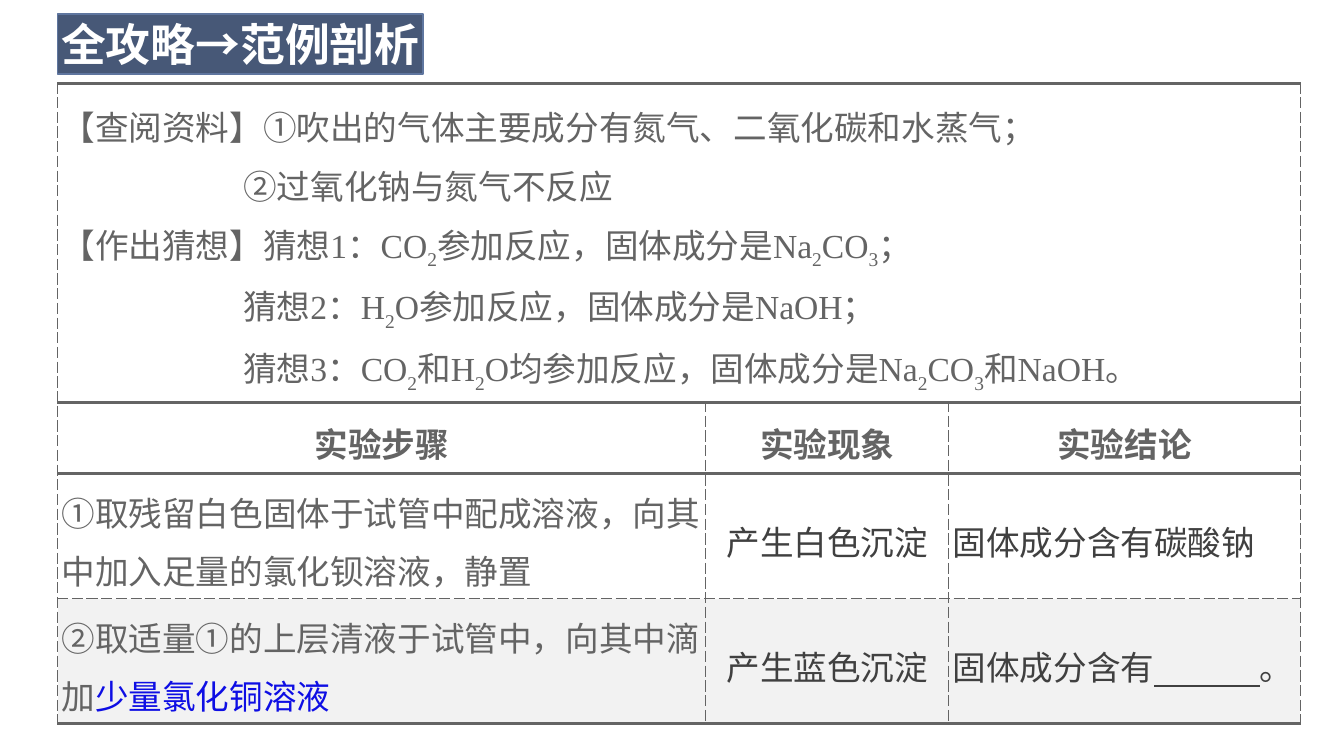
from lxml.etree import SubElement
from pptx import Presentation
from pptx.dml.color import RGBColor
from pptx.enum.text import MSO_ANCHOR, MSO_AUTO_SIZE, PP_ALIGN
from pptx.oxml.ns import qn
from pptx.util import Cm, Pt

NAVY = RGBColor(0x47, 0x58, 0x77)
STEEL = RGBColor(0x5F, 0x76, 0x9F)
GRAY = RGBColor(0x64, 0x64, 0x64)
DARK = RGBColor(0x40, 0x40, 0x40)
BLUE = RGBColor(0x0E, 0x0E, 0xE4)
WHITE = RGBColor(0xFF, 0xFF, 0xFF)
PALE = RGBColor(0xF2, 0xF2, 0xF2)

LATIN_FONT = "Times New Roman"
CHINESE_FONT = "Noto Sans CJK SC"

TITLE = "全攻略→范例剖析"
BACKGROUND = [
    (0, "【查阅资料】①吹出的气体主要成分有氮气、二氧化碳和水蒸气；"),
    (4.58, "②过氧化钠与氮气不反应"),
    (0, "【作出猜想】猜想1：CO_2参加反应，固体成分是Na_2CO_3；"),
    (4.58, "猜想2：H_2O参加反应，固体成分是NaOH；"),
    (4.58, "猜想3：CO_2和H_2O均参加反应，固体成分是Na_2CO_3和NaOH。"),
]
HEADERS = ["实验步骤", "实验现象", "实验结论"]
BLANK = " " * 14
EXPERIMENTS = [
    [
        [("①取残留白色固体于试管中配成溶液，向其中加入足量的氯化钡溶液，静置", GRAY)],
        [("产生白色沉淀", DARK)],
        [("固体成分含有碳酸钠", DARK)],
    ],
    [
        [("②取适量①的上层清液于试管中，向其中滴加", GRAY), ("少量氯化铜溶液", BLUE)],
        [("产生蓝色沉淀", DARK)],
        [("固体成分含有", DARK), (BLANK, DARK), ("。", DARK)],
    ],
]
COLUMN_WIDTHS = [16.34, 6.12, 8.86]
ROW_HEIGHTS = [8.03, 1.8, 3.02, 3.02]
ROW_FILLS = [WHITE, WHITE, WHITE, PALE]
SOLID = (2.25, "solid")
DASHED = (0.75, "sysDash")
ROW_EDGES = [SOLID, SOLID, SOLID, DASHED, SOLID]


def add_run(paragraph, text, size, color, font=LATIN_FONT, bold=False):
    run = paragraph.add_run()
    run.text = text
    run.font.size = Pt(size)
    run.font.name = font
    run.font.bold = bold
    run.font.color.rgb = color
    SubElement(run.font._element, qn("a:ea"), typeface=CHINESE_FONT)
    return run


def add_formula_text(paragraph, text):
    first, *pieces = text.split("_")
    add_run(paragraph, first, 24, GRAY)
    for piece in pieces:
        subscript = add_run(paragraph, piece[0], 24, GRAY)
        subscript.font._element.set("baseline", "-25000")
        add_run(paragraph, piece[1:], 24, GRAY)


def add_border(cell, side, edge):
    width, dash = edge
    properties = cell._tc.get_or_add_tcPr()
    line = SubElement(properties, qn(f"a:ln{side}"), w=str(Pt(width)))
    fill = SubElement(line, qn("a:solidFill"))
    SubElement(fill, qn("a:srgbClr"), val=str(GRAY))
    SubElement(line, qn("a:prstDash"), val=dash)


def format_cell(cell, row):
    for side, edge in zip("LRTB", (DASHED, DASHED, ROW_EDGES[row], ROW_EDGES[row + 1])):
        add_border(cell, side, edge)
    cell.fill.solid()
    cell.fill.fore_color.rgb = ROW_FILLS[row]
    cell.vertical_anchor = MSO_ANCHOR.MIDDLE
    cell.margin_left = cell.margin_right = Cm(0.1)
    cell.margin_top = cell.margin_bottom = Cm(0.1)


def add_title(slide):
    title = slide.shapes.title
    title.left, title.top, title.width, title.height = Cm(1.45), Cm(0.35), Cm(9.22), Cm(1.52)
    geometry = SubElement(title._element.spPr, qn("a:prstGeom"), prst="roundRect")
    SubElement(geometry, qn("a:avLst"))
    title.fill.solid()
    title.fill.fore_color.rgb = NAVY
    title.line.color.rgb = STEEL
    title.line.width = Pt(1.25)
    frame = title.text_frame
    frame.auto_size = MSO_AUTO_SIZE.NONE
    frame.word_wrap = False
    frame.vertical_anchor = MSO_ANCHOR.MIDDLE
    frame.margin_left = frame.margin_right = frame.margin_top = frame.margin_bottom = 0
    paragraph = frame.paragraphs[0]
    paragraph.alignment = PP_ALIGN.CENTER
    add_run(paragraph, TITLE, 32, WHITE, CHINESE_FONT, True)


def add_experiment_table(slide):
    table = slide.shapes.add_table(
        len(ROW_HEIGHTS), len(COLUMN_WIDTHS), Cm(1.45), Cm(2.11),
        Cm(sum(COLUMN_WIDTHS)), Cm(sum(ROW_HEIGHTS))
    ).table
    for column, width in zip(table.columns, COLUMN_WIDTHS):
        column.width = Cm(width)
    for row, height in enumerate(ROW_HEIGHTS):
        table.rows[row].height = Cm(height)
        for cell in table.rows[row].cells:
            format_cell(cell, row)

    background = table.cell(0, 0)
    background.merge(table.cell(0, len(COLUMN_WIDTHS) - 1))
    frame = background.text_frame
    for index, (indent, text) in enumerate(BACKGROUND):
        paragraph = frame.add_paragraph() if index else frame.paragraphs[0]
        paragraph.line_spacing = 1.2
        paragraph._p.get_or_add_pPr().set("marL", str(Cm(indent)))
        add_formula_text(paragraph, text)

    for column, header in enumerate(HEADERS):
        paragraph = table.cell(1, column).text_frame.paragraphs[0]
        paragraph.alignment = PP_ALIGN.CENTER
        paragraph.line_spacing = 1.2
        add_run(paragraph, header, 24, GRAY, bold=True)

    for row, experiment in enumerate(EXPERIMENTS, start=2):
        for column, pieces in enumerate(experiment):
            paragraph = table.cell(row, column).text_frame.paragraphs[0]
            paragraph.alignment = PP_ALIGN.CENTER if column == 1 else PP_ALIGN.LEFT
            paragraph.line_spacing = 1.2
            for text, color in pieces:
                run = add_run(paragraph, text, 24, color)
                if text == BLANK:
                    run.font.underline = True


def main():
    presentation = Presentation()
    presentation.slide_width = Cm(33.87)
    presentation.slide_height = Cm(19.05)
    slide = presentation.slides.add_slide(presentation.slide_layouts[5])
    add_title(slide)
    add_experiment_table(slide)
    presentation.save("out.pptx")


if __name__ == "__main__":
    main()
